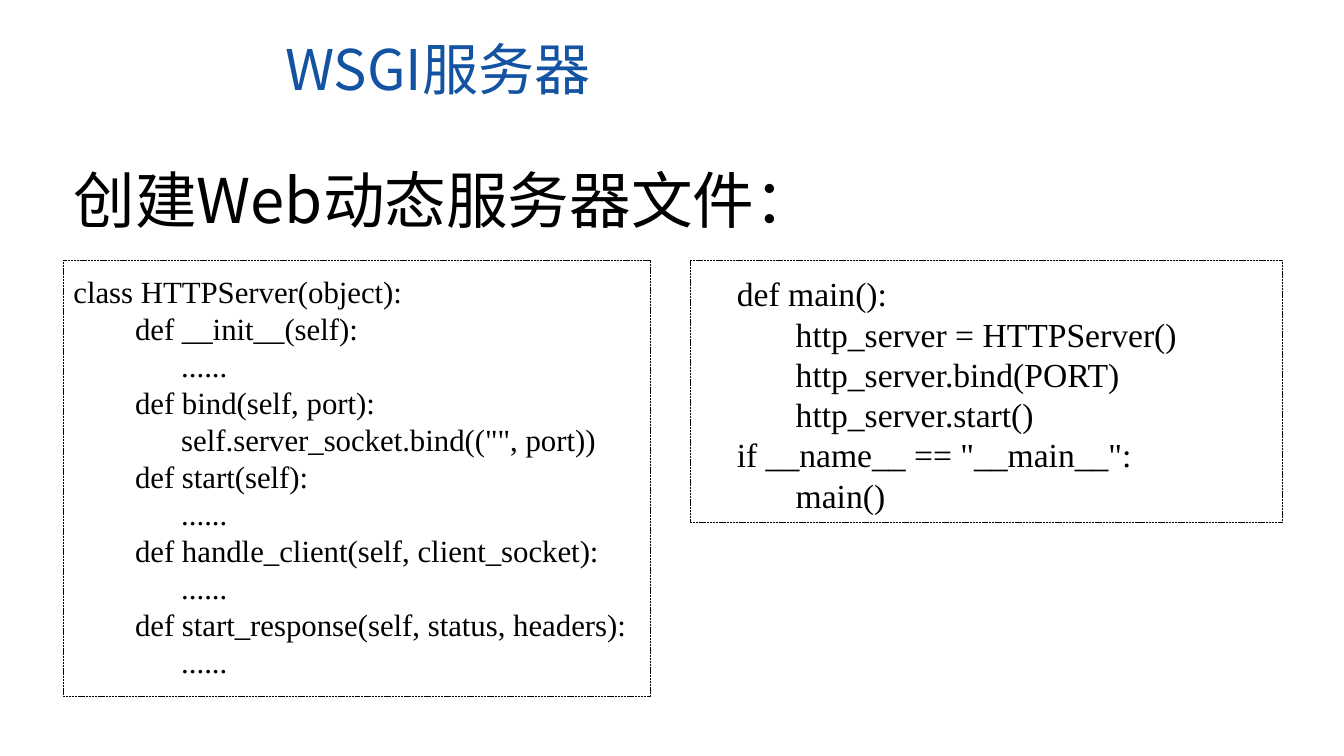
from lxml.etree import SubElement
from pptx import Presentation
from pptx.dml.color import RGBColor
from pptx.enum.dml import MSO_LINE
from pptx.enum.shapes import MSO_SHAPE
from pptx.enum.text import MSO_ANCHOR, MSO_AUTO_SIZE
from pptx.oxml.ns import qn
from pptx.util import Inches, Pt

SANS = "Noto Sans CJK SC"
SERIF = "Times New Roman"
LEFT, CODE_TOP, FRAME_TOP = 0.63, 2.66, 2.58
CODE_LINE_SPACING = 1.2

SERVER_CODE = [
    (0, "class HTTPServer(object):"),
    (8, "def __init__(self):"),
    (14, "......"),
    (8, "def bind(self, port):"),
    (14, 'self.server_socket.bind(("", port))'),
    (8, "def start(self):"),
    (14, "......"),
    (8, "def handle_client(self, client_socket):"),
    (14, "......"),
    (8, "def start_response(self, status, headers):"),
    (14, "......"),
]
MAIN_CODE = [
    (0, "def main():"),
    (7, "http_server = HTTPServer()"),
    (7, "http_server.bind(PORT)"),
    (7, "http_server.start()"),
    (0, 'if __name__ == "__main__":'),
    (7, "main()"),
]


def color(hex_string):
    return RGBColor.from_string(hex_string)


def add_text(box, lines, size, font_name, hex_color, anchor, spacing=None):
    """Add a text box; each line is (indent in space widths, text)."""
    shape = slide.shapes.add_textbox(*map(Inches, box))
    frame = shape.text_frame
    frame.word_wrap = True
    frame.auto_size = MSO_AUTO_SIZE.SHAPE_TO_FIT_TEXT
    frame.vertical_anchor = anchor
    for index, (indent, text) in enumerate(lines):
        paragraph = frame.add_paragraph() if index else frame.paragraphs[0]
        paragraph.text = text
        paragraph.line_spacing = spacing
        paragraph.font.size = Pt(size)
        paragraph.font.name = font_name
        paragraph.font.color.rgb = color(hex_color)
        properties = paragraph._p.get_or_add_pPr()
        # A space is a quarter of the font size wide
        properties.set("marL", str(Pt(indent * size / 4)))
        east_asian = SubElement(properties.find(qn("a:defRPr")), qn("a:ea"))
        east_asian.set("typeface", font_name)


presentation = Presentation()
presentation.slide_width = Inches(13.33)
presentation.slide_height = Inches(7.5)
slide = presentation.slides.add_slide(presentation.slide_layouts[6])

add_text((2.73, 0.29, 5.88, 0.77), [(0, "WSGI服务器")],
         40, SANS, "1353A2", MSO_ANCHOR.MIDDLE)
add_text((LEFT, 1.44, 12.43, 0.91), [(0, "创建Web动态服务器文件：")],
         44, SANS, "000000", MSO_ANCHOR.MIDDLE, 1.2)

for frame_left, frame_width, frame_height in [(LEFT, 5.82, 4.33), (6.85, 5.87, 2.6)]:
    code_frame = slide.shapes.add_shape(
        MSO_SHAPE.RECTANGLE, Inches(frame_left), Inches(FRAME_TOP),
        Inches(frame_width), Inches(frame_height))
    code_frame.shadow.inherit = False
    code_frame.fill.background()
    code_frame.line.color.rgb = color("000000")
    code_frame.line.width = Pt(0.5)
    code_frame.line.dash_style = MSO_LINE.SQUARE_DOT

for code_left, code_width, code_height, code, size in [
    (LEFT, 5.82, 4.17, SERVER_CODE, 22),
    (7.21, 5.19, 2.52, MAIN_CODE, 24),
]:
    add_text((code_left, CODE_TOP, code_width, code_height), code,
             size, SERIF, "000000", MSO_ANCHOR.TOP, Pt(size * CODE_LINE_SPACING))

presentation.save("out.pptx")
